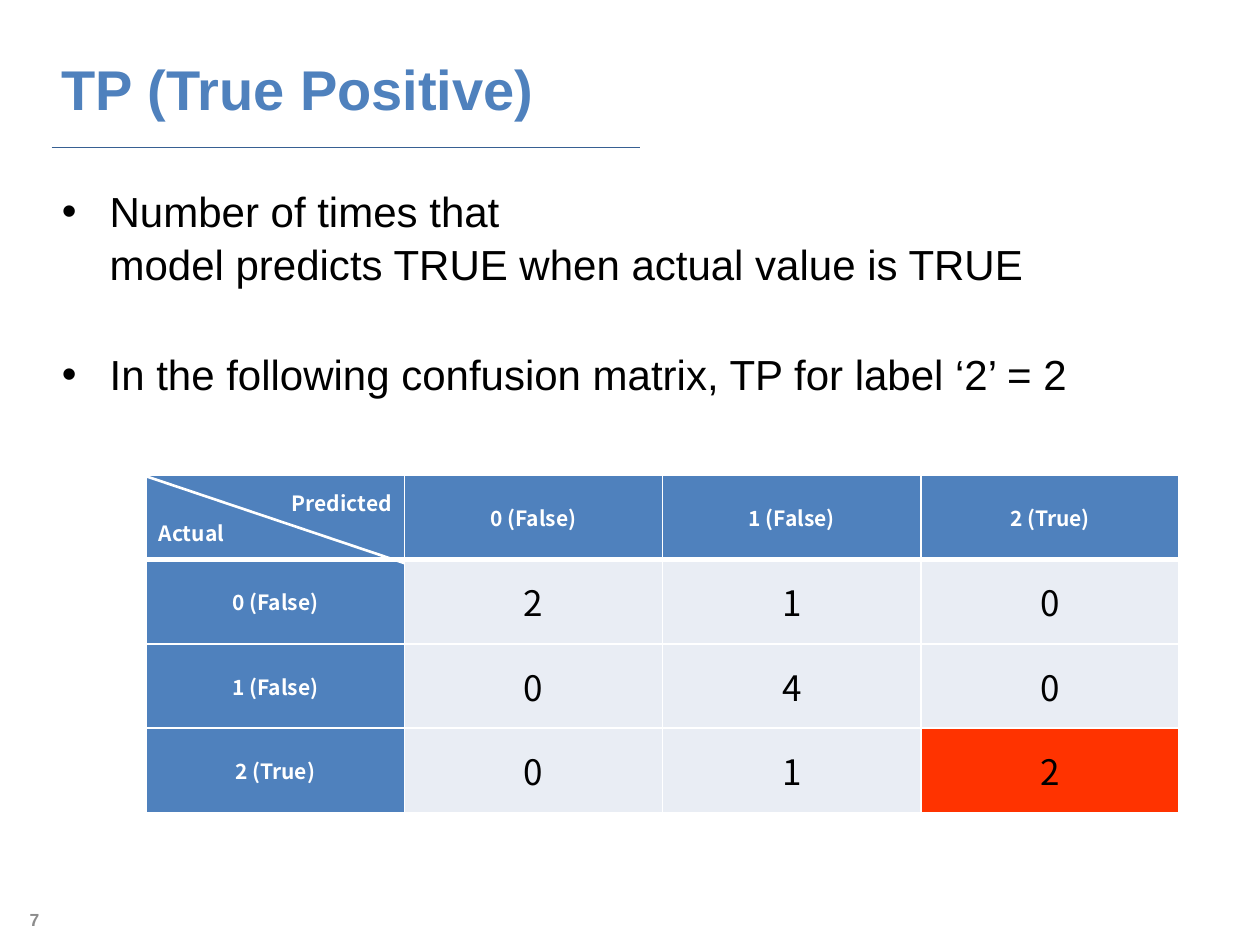
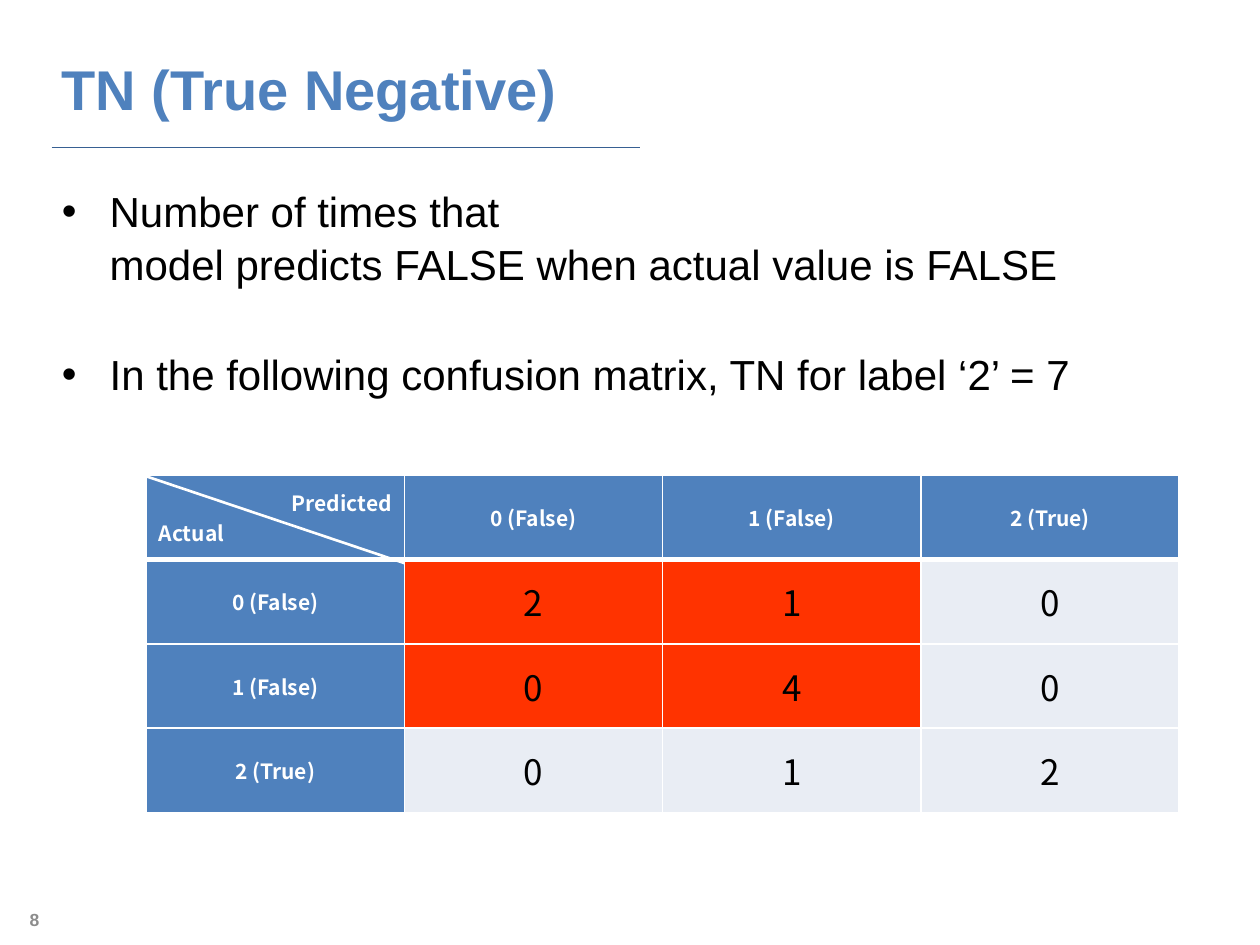
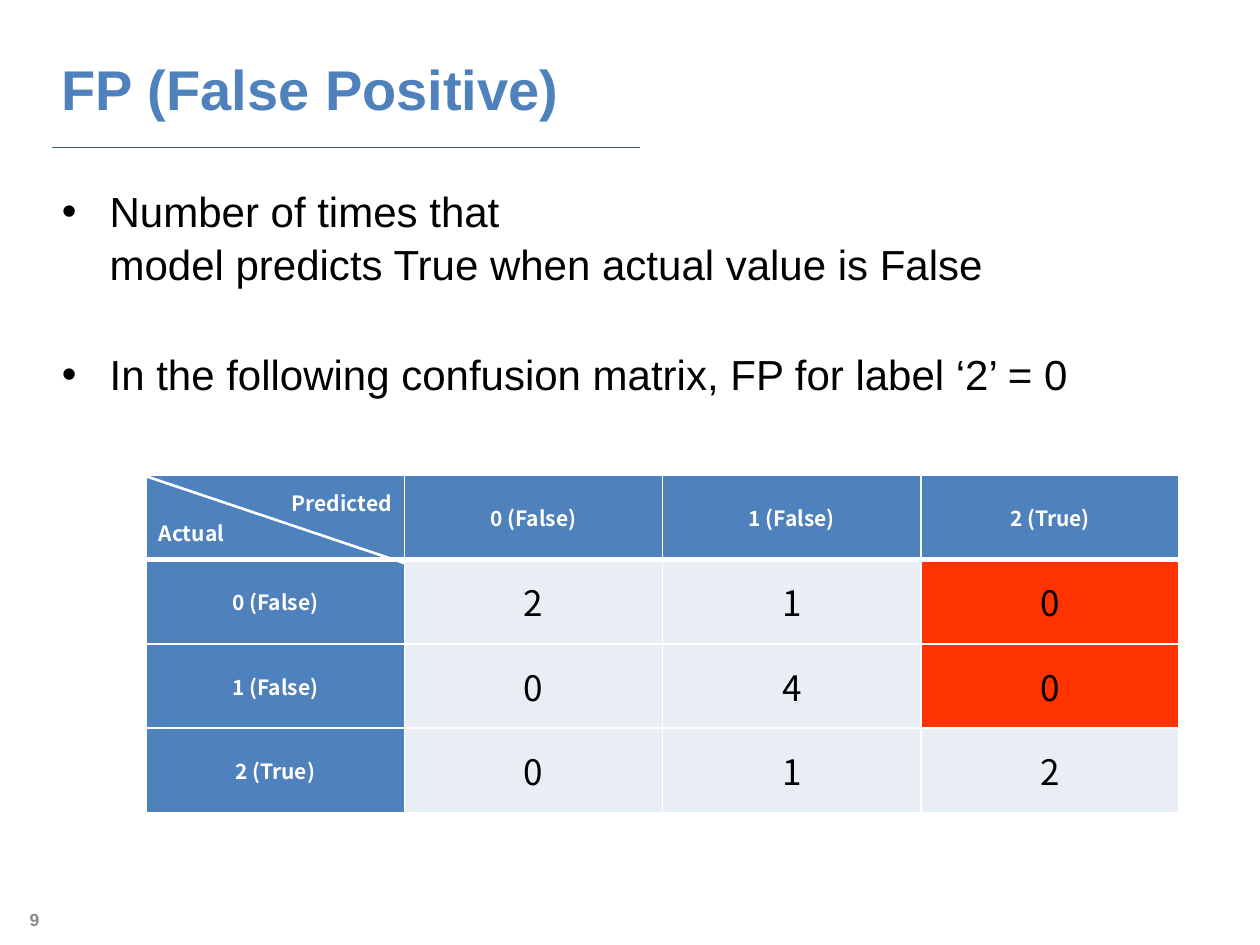
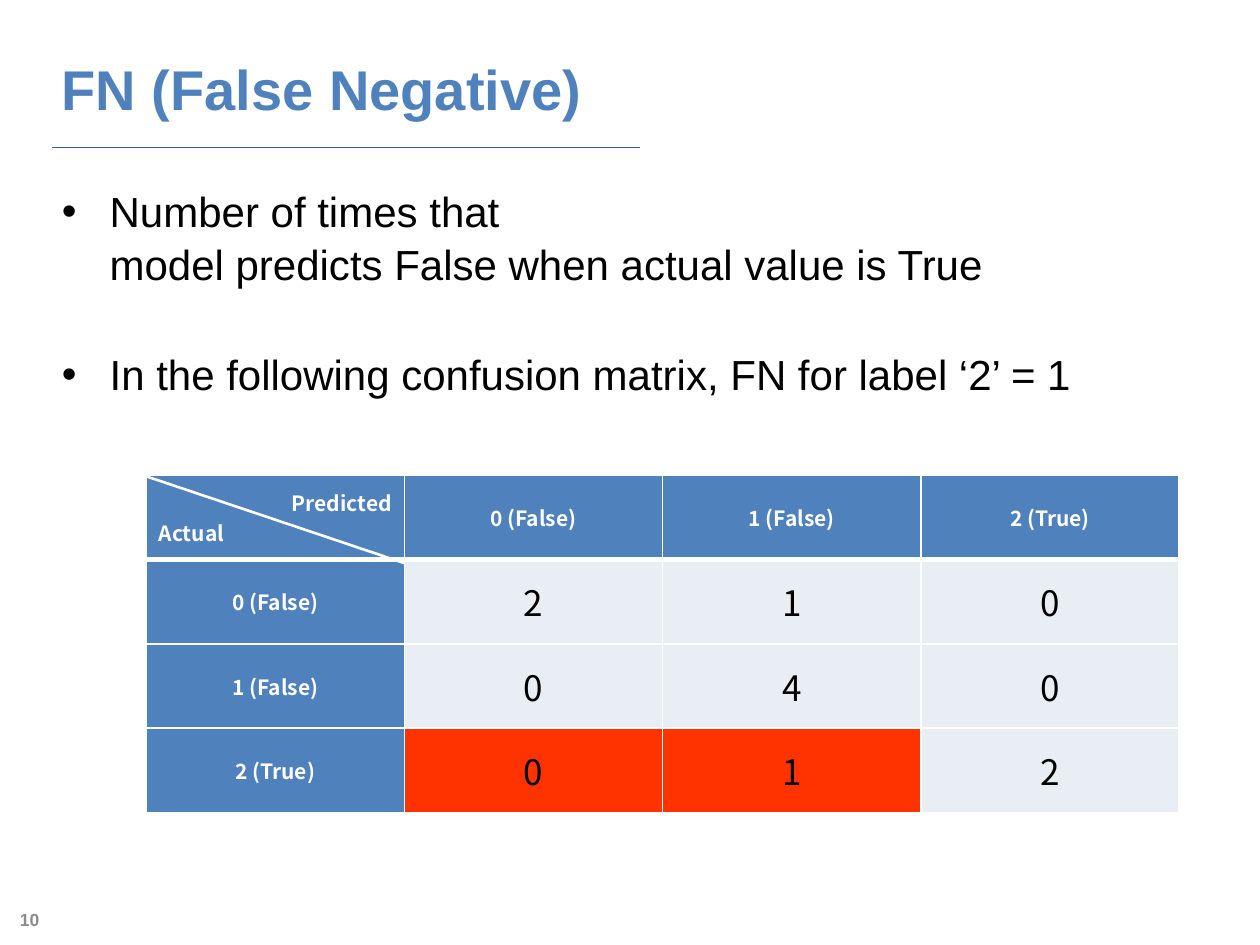
"""Builds four slides that explain TP, TN, FP and FN on one confusion matrix."""
from lxml import etree
from pptx import Presentation, util as u
from pptx.dml.color import RGBColor
from pptx.enum import shapes, text
from pptx.oxml.ns import qn

COLORS = {
    "blue": "4F81BD",
    "rule": "376092",
    "cell": "E9EDF4",
    "mark": "FF3300",
    "white": "FFFFFF",
    "black": "000000",
    "grey": "8C8C8C",
}
BODY_FONT = "Arial"
TABLE_FONT = "Noto Sans CJK KR"
LABELS = ["0 (False)", "1 (False)", "2 (True)"]
MATRIX = [[2, 1, 0], [0, 4, 0], [0, 1, 2]]
SLIDES = [
    ("TP", "True Positive", "TRUE", "TRUE", 2, {(3, 3)}),
    ("TN", "True Negative", "FALSE", "FALSE", 7, {(1, 1), (1, 2), (2, 1), (2, 2)}),
    ("FP", "False Positive", "True", "False", 0, {(1, 3), (2, 3)}),
    ("FN", "False Negative", "False", "True", 1, {(3, 1), (3, 2)}),
]
FIRST_NUMBER = 7
LEFT, TOP, COL_W, ROW_H = 1.16, 3.77, 2.05, 0.67


def format_text(tf, font, size, color, bold=False, align=text.PP_ALIGN.LEFT):
    for p in tf.paragraphs:
        p.alignment = align
        for r in p.runs:
            r.font.name = font
            r.font.size = u.Pt(size)
            r.font.bold = bold
            r.font.color.rgb = RGBColor.from_string(COLORS[color])


def add_line(s, x1, y1, x2, y2, color, width):
    line = s.shapes.add_connector(
        shapes.MSO_CONNECTOR.STRAIGHT,
        u.Inches(x1), u.Inches(y1), u.Inches(x2), u.Inches(y2))
    line.line.color.rgb = RGBColor.from_string(COLORS[color])
    line.line.width = u.Pt(width)
    etree.SubElement(line.element.spPr, qn("a:effectLst"))


prs = Presentation()
prs.slide_width, prs.slide_height = u.Inches(10), u.Inches(7.5)

for number, (short, name, predicted, actual, count, marked) in enumerate(SLIDES, FIRST_NUMBER):
    s = prs.slides.add_slide(prs.slide_layouts[1])
    add_line(s, 0.41, 1.17, 5.08, 1.17, "rule", 0.75)

    title = s.shapes.title
    title.left, title.top = u.Inches(0.39), u.Inches(0.31)
    title.width, title.height = u.Inches(9.22), u.Inches(0.78)
    tf = title.text_frame
    tf.text = f"{short} ({name})"
    tf.auto_size = text.MSO_AUTO_SIZE.NONE
    tf.vertical_anchor = text.MSO_ANCHOR.MIDDLE
    format_text(tf, BODY_FONT, 32, "blue", bold=True)

    body = s.placeholders[1]
    body.left, body.top = u.Inches(0.39), u.Inches(1.41)
    body.width, body.height = u.Inches(9.22), u.Inches(5.55)
    tf = body.text_frame
    tf.auto_size = text.MSO_AUTO_SIZE.NONE
    bullets = [
        f"Number of times that\nmodel predicts {predicted} when actual value is {actual}",
        f"In the following confusion matrix, {short} for label ‘2’ = {count}",
    ]
    for i, bullet in enumerate(bullets):
        p = tf.paragraphs[0] if i == 0 else tf.add_paragraph()
        p.text = bullet
        p.line_spacing = 1.04
        p.space_before = u.Pt(33 * i)
        pPr = p._p.get_or_add_pPr()
        pPr.set("marL", str(u.Inches(0.38)))
        pPr.set("indent", str(u.Inches(-0.38)))
        etree.SubElement(pPr, qn("a:buFont")).set("typeface", BODY_FONT)
        etree.SubElement(pPr, qn("a:buChar")).set("char", "•")
    format_text(tf, BODY_FONT, 24, "black")

    sp = s.shapes.add_textbox(u.Inches(0), u.Inches(7.1), u.Inches(0.41), u.Inches(0.4))
    tf = sp.text_frame
    tf.word_wrap = True
    tf.vertical_anchor = text.MSO_ANCHOR.MIDDLE
    tf.text = str(number)
    format_text(tf, BODY_FONT, 10, "grey", bold=True, align=text.PP_ALIGN.RIGHT)

    rows = [["Predicted\nActual", *LABELS]]
    rows += [[label, *values] for label, values in zip(LABELS, MATRIX)]
    table = s.shapes.add_table(
        4, 4, u.Inches(LEFT), u.Inches(TOP), u.Inches(4 * COL_W), u.Inches(4 * ROW_H)).table
    table.first_col = True
    table.horz_banding = False
    for col in table.columns:
        col.width = u.Inches(COL_W)
    for i, row in enumerate(rows):
        table.rows[i].height = u.Inches(ROW_H)
        for j, value in enumerate(row):
            cell = table.cell(i, j)
            cell.text = str(value)
            cell.vertical_anchor = text.MSO_ANCHOR.MIDDLE
            header = i == 0 or j == 0
            format_text(cell.text_frame, TABLE_FONT, 12 if header else 20,
                        "white" if header else "black", bold=header,
                        align=text.PP_ALIGN.CENTER)
            tcPr = cell._tc.get_or_add_tcPr()
            for side in ("lnL", "lnR", "lnT", "lnB"):
                thick = (i, side) in ((0, "lnB"), (1, "lnT"))
                ln = etree.SubElement(tcPr, qn(f"a:{side}"), w=str(u.Pt(3 if thick else 1)))
                fill = etree.SubElement(ln, qn("a:solidFill"))
                etree.SubElement(fill, qn("a:srgbClr"), val=COLORS["white"])
            color = "blue" if header else "mark" if (i, j) in marked else "cell"
            cell.fill.solid()
            cell.fill.fore_color.rgb = RGBColor.from_string(COLORS[color])
    corner = table.cell(0, 0).text_frame.paragraphs
    corner[0].alignment = text.PP_ALIGN.RIGHT
    corner[1].alignment = text.PP_ALIGN.LEFT
    add_line(s, LEFT, 3.78, LEFT + COL_W, 4.47, "white", 1.5)

prs.save("out.pptx")
